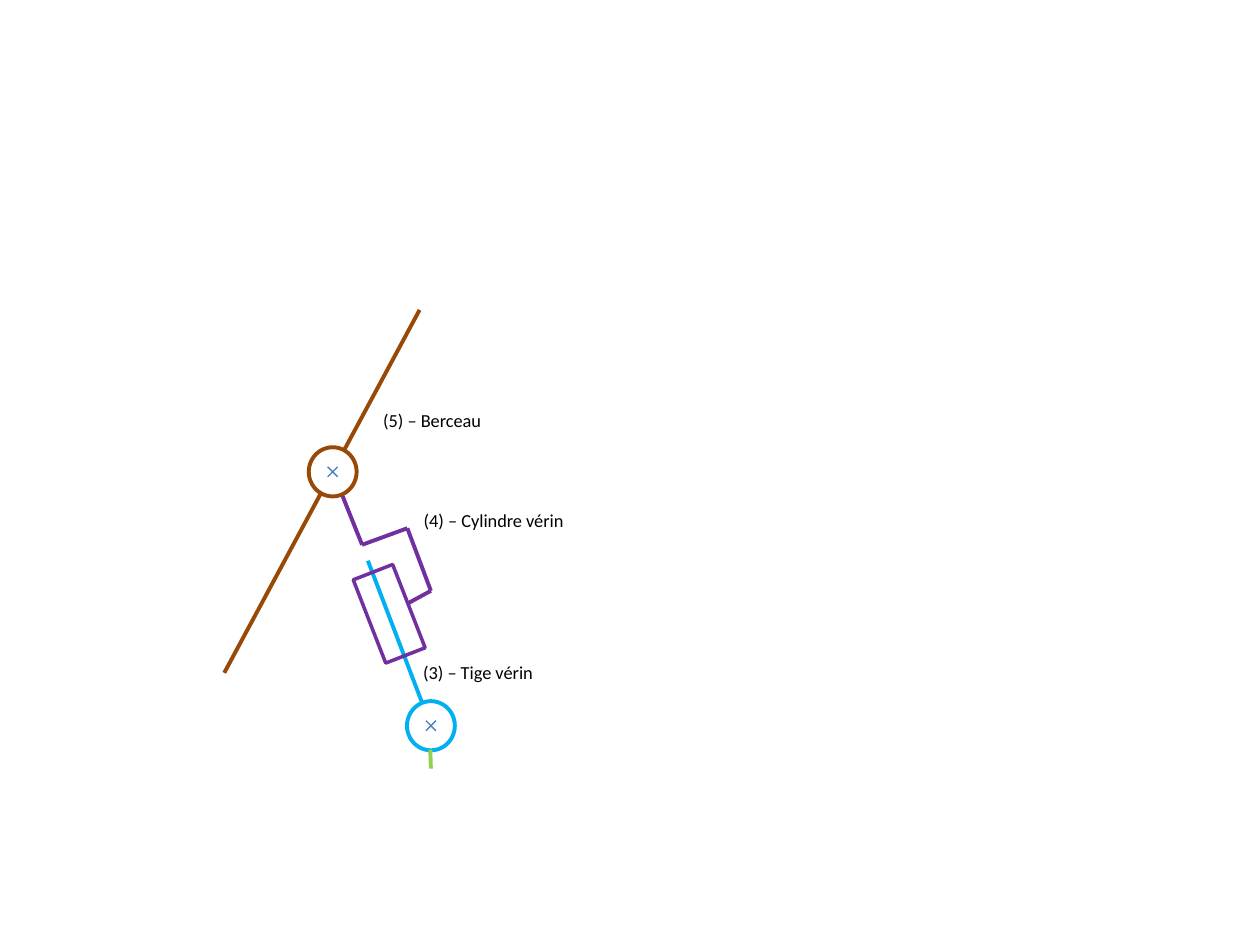
from collections import namedtuple

from lxml import etree
from pptx import Presentation
from pptx import util as u
from pptx.dml.color import RGBColor
from pptx.enum import shapes, text
from pptx.oxml.ns import qn

BROWN, PURPLE, CYAN, GREEN, BLUE = "984807", "7030A0", "00B0F0", "92D050", "4B7EBC"
PIVOT_W, PIVOT_H, CROSS = 0.38, 0.39, 0.08
LABEL_W, LABEL_H = 1.35, 0.28
LABEL_FONT = {"name": "Calibri", "size": u.Pt(10.5)}


class Box(namedtuple("Box", "left top width height")):
    """A region in inches; at() turns shares of it into slide inches."""

    def at(self, x, y):
        return self.left + x * self.width, self.top + y * self.height


def color(hex_code):
    return RGBColor.from_string(hex_code)


def inches(*lengths):
    return [u.Inches(length) for length in lengths]


def set_stroke(part, hex_code, width):
    part.line.color.rgb = color(hex_code)
    part.line.width = u.Pt(width)


def add_bar(slide, start, end, hex_code, width=2.25, oval_end=False):
    bar = slide.shapes.add_connector(
        shapes.MSO_CONNECTOR.STRAIGHT, *inches(*start, *end))
    set_stroke(bar, hex_code, width)
    props = bar._element.spPr
    if oval_end:
        etree.SubElement(props.find(qn("a:ln")), qn("a:tailEnd"), type="oval")
    etree.SubElement(props, qn("a:effectLst"))


def add_outline(slide, kind, left, top, width, height, hex_code, weight):
    outline = slide.shapes.add_shape(kind, *inches(left, top, width, height))
    outline.shadow.inherit = False
    outline.fill.background()
    set_stroke(outline, hex_code, weight)
    return outline


def add_pivot(slide, center, hex_code):
    x, y = center
    ring = add_outline(slide, shapes.MSO_SHAPE.OVAL, x - PIVOT_W / 2,
                       y - PIVOT_H / 2, PIVOT_W, PIVOT_H, hex_code, 2.25)
    ring.fill.solid()
    ring.fill.fore_color.rgb = color("FFFFFF")
    half = CROSS / 2
    for side in (-half, half):
        add_bar(slide, (x + side, y - half), (x - side, y + half), BLUE, 0.75)


def add_label(slide, corner, wording):
    label = slide.shapes.add_textbox(*inches(*corner, LABEL_W, LABEL_H))
    frame = label.text_frame
    frame.word_wrap = True
    frame.auto_size = text.MSO_AUTO_SIZE.SHAPE_TO_FIT_TEXT
    run = frame.paragraphs[0].add_run()
    run.text = wording
    for name, value in LABEL_FONT.items():
        setattr(run.font, name, value)
    run.font.color.rgb = color("000000")


def draw_rod(slide, box):
    add_bar(slide, box.at(0, 0), box.at(1, 1), CYAN, oval_end=True)
    add_pivot(slide, box.at(1, 1), CYAN)
    # Ground link under the lower pivot
    add_bar(slide, box.at(1, 1.26), box.at(0.99, 1.145), GREEN)
    add_label(slide, box.at(0.68, 0.57), "(3) – Tige vérin")


def draw_cylinder(slide, box):
    # Arm from the upper pivot round to the side of the body
    arm = [(0, 0), (0.3, 0.4), (0.76, 0.31), (1, 0.65), (0.76, 0.72)]
    for start, end in zip(arm, arm[1:]):
        add_bar(slide, box.at(*start), box.at(*end), PURPLE)
    body = add_outline(slide, shapes.MSO_SHAPE.RECTANGLE, *box.at(0.12, 0.66),
                       0.91 * box.width, 0.23 * box.height, PURPLE, 2)
    body.rotation = 68.7
    add_label(slide, box.at(0.8, 0.17), "(4) – Cylindre vérin")


def draw_cradle(slide, box):
    add_bar(slide, box.at(0, 1), box.at(1, 0), BROWN)
    add_pivot(slide, box.at(0.555, 0.446), BROWN)
    add_label(slide, box.at(0.75, 0.257), "(5) – Berceau")


def main():
    deck = Presentation()
    deck.slide_width, deck.slide_height = inches(10, 7.5)
    slide = deck.slides.add_slide(deck.slide_layouts[6])
    draw_rod(slide, Box(2.92, 4.45, 0.5, 1.31))
    draw_cylinder(slide, Box(2.64, 3.74, 0.78, 1.46))
    draw_cradle(slide, Box(1.78, 2.46, 1.55, 2.88))
    deck.save("out.pptx")


if __name__ == "__main__":
    main()
